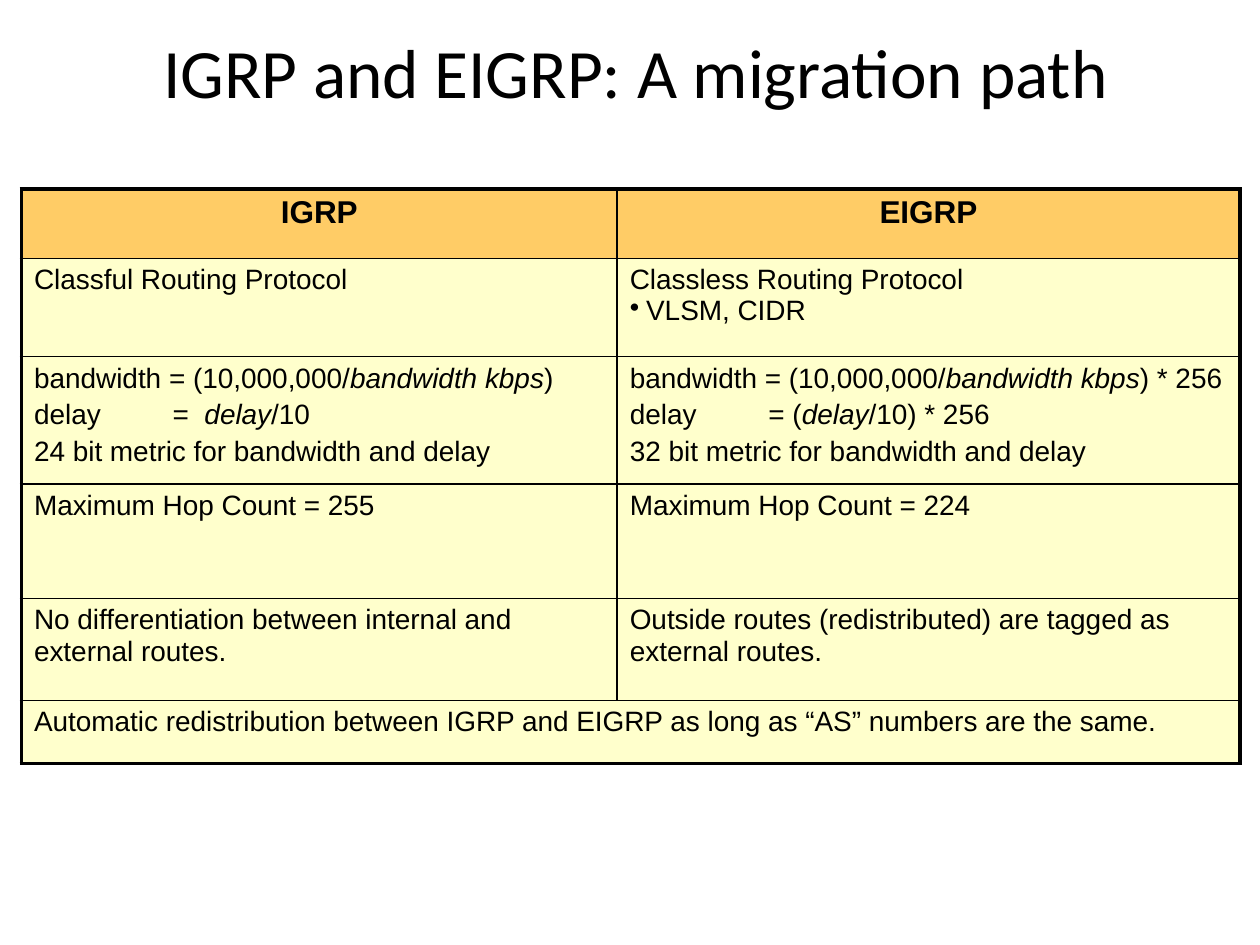
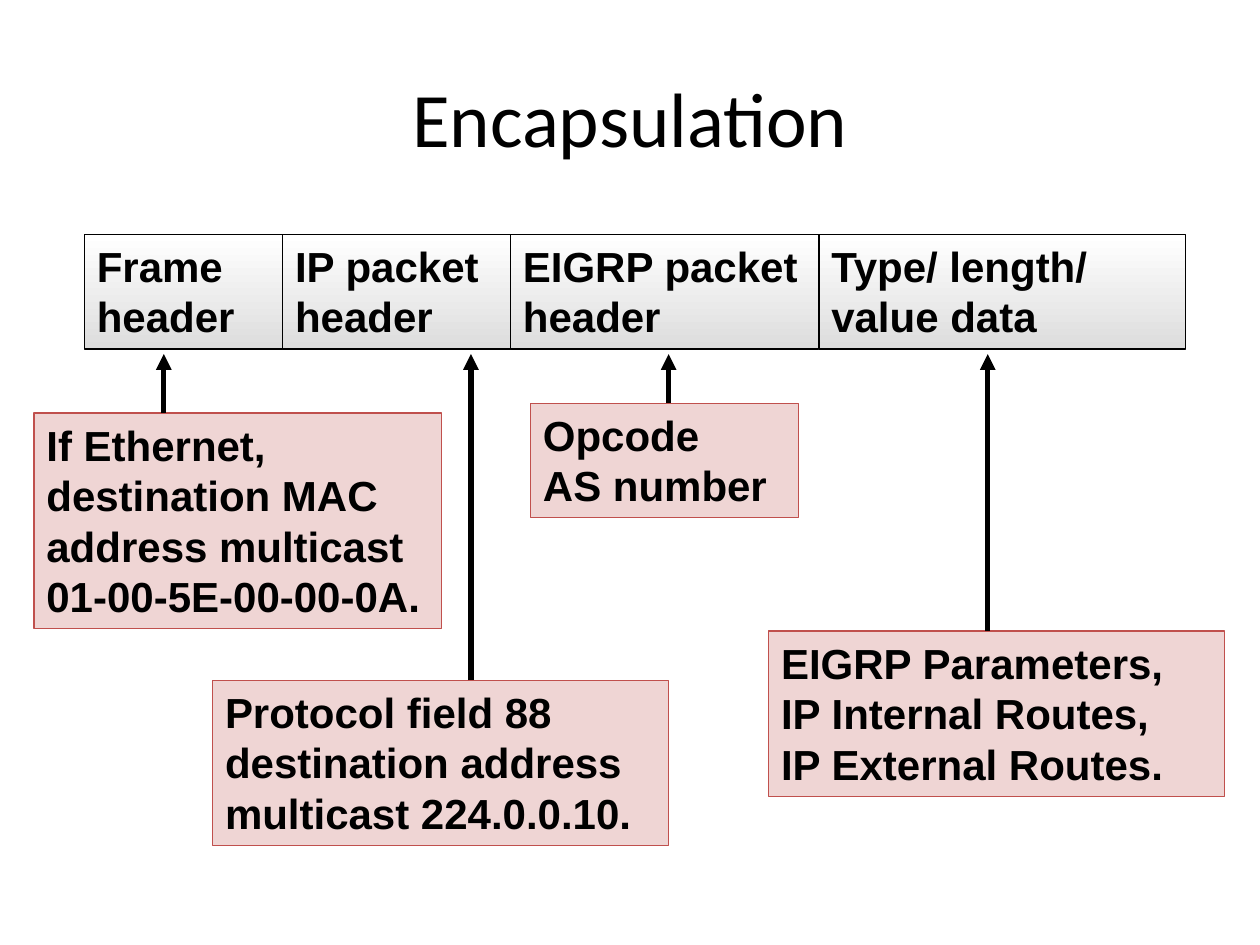
from itertools import accumulate

from lxml.etree import SubElement
from pptx import Presentation
from pptx.dml.color import RGBColor
from pptx.enum.shapes import MSO_CONNECTOR, MSO_SHAPE
from pptx.enum.text import MSO_ANCHOR, MSO_AUTO_SIZE, PP_ALIGN
from pptx.oxml.ns import qn
from pptx.util import Inches, Pt

BLACK, WHITE, GREY = "000000", "FFFFFF", "DDDDDD"
ORANGE, CREAM, RED = "FFCC66", "FFFFCC", "C0504D"
WIDE, HIGH = 10, 7.5
TAB = 1.1
BULLET = "• "

# "_" switches italics, "\v" breaks a line, "\n" starts a paragraph
ROWS = [
    (0.55, "IGRP", "EIGRP"),
    (0.78, "Classful Routing Protocol",
     "Classless Routing Protocol\n• VLSM, CIDR"),
    (1.01, "bandwidth = (10,000,000/_bandwidth kbps_)\n"
     "delay\t=  _delay_/10\n"
     "24 bit metric for bandwidth and delay",
     "bandwidth = (10,000,000/_bandwidth kbps_) * 256\n"
     "delay\t= (_delay_/10) * 256\n"
     "32 bit metric for bandwidth and delay"),
    (0.91, "Maximum Hop Count = 255", "Maximum Hop Count = 224"),
    (0.81, "No differentiation between internal and external routes.",
     "Outside routes (redistributed) are tagged as external routes."),
    (0.5, "Automatic redistribution between IGRP and EIGRP as long as "
     "“AS” numbers are the same.", ""),
]

# Share of the bar's width in percent, label
FIELDS = [
    (18, "Frame header"),
    (20.7, "IP packet header"),
    (28, "EIGRP packet header"),
    (33.3, "Type/ length/ value data"),
]

# Left, top, width, height and arrow place in percent of the region, text
NOTES = [
    (61.7, 56.4, 38.3, 33.6, 80.1,
     "EIGRP Parameters,\vIP Internal Routes,\vIP External Routes."),
    (41.7, 10, 22.5, 23.3, 53.3, "Opcode\vAS number"),
    (15, 66.4, 38.3, 33.6, 36.7,
     "Protocol field 88\vdestination address multicast 224.0.0.10."),
    (0, 12, 34.2, 43.8, 10.9,
     "If Ethernet, destination MAC address multicast\v01-00-5E-00-00-0A."),
]


def color(code):
    return RGBColor.from_string(code)


def inches(*sizes):
    return [Inches(size) for size in sizes]


def within(area, left, top, width=0, height=0):
    """Turn percentages of an area into a box in inches."""
    x, y, w, h = area
    return (x + w * left / 100, y + h * top / 100,
            w * width / 100, h * height / 100)


def indent(para, line):
    """Add the bullet or the tab stop that a line asks for."""
    props = para._p.get_or_add_pPr()
    if line.startswith(BULLET):
        hang = Inches(0.13)
        props.set("marL", str(hang))
        props.set("indent", str(-hang))
        SubElement(props, qn("a:buChar"), char=BULLET.strip())
    if "\t" in line:
        tabs = SubElement(props, qn("a:tabLst"))
        SubElement(tabs, qn("a:tab"), pos=str(Inches(TAB)), algn="l")


def write(frame, text, size=16, font="Arial", bold=False,
          align=PP_ALIGN.LEFT, gap=0):
    frame.word_wrap = True
    for i, line in enumerate(text.split("\n")):
        para = frame.add_paragraph() if i else frame.paragraphs[0]
        para.alignment = align
        if i and gap:
            para.space_before = Pt(gap)
        indent(para, line)
        for j, row in enumerate(line.removeprefix(BULLET).split("\v")):
            if j:
                para.add_line_break()
            for k, part in enumerate(row.split("_")):
                run = para.add_run()
                run.text = part
                run.font.size = Pt(size)
                run.font.name = font
                run.font.bold = bold
                run.font.italic = k % 2 == 1
                run.font.color.rgb = color(BLACK)


def add_page(deck, title, area, size):
    page = deck.slides.add_slide(deck.slide_layouts[5])
    head = page.shapes.title
    head.left, head.top, head.width, head.height = inches(*area)
    frame = head.text_frame
    frame.auto_size = MSO_AUTO_SIZE.NONE
    frame.vertical_anchor = MSO_ANCHOR.MIDDLE
    write(frame, title, size=size, font="Calibri", align=PP_ALIGN.CENTER)
    return page


def edge(cell, side, width):
    line = SubElement(cell._tc.get_or_add_tcPr(), qn("a:ln" + side),
                      w=str(Pt(width)))
    fill = SubElement(line, qn("a:solidFill"))
    SubElement(fill, qn("a:srgbClr"), val=BLACK)


def add_grid(page, area):
    """Compare both protocols, with a thick frame around thin rules."""
    shape = page.shapes.add_table(len(ROWS), 2, *inches(*area))
    table = shape.table
    table.first_row = table.horz_banding = False
    for col, share in zip(table.columns, (48.9, 51.1)):
        col.width = Inches(area[2] * share / 100)
    last = len(ROWS) - 1
    table.cell(last, 0).merge(table.cell(last, 1))
    for r, (height, *texts) in enumerate(ROWS):
        table.rows[r].height = Inches(height)
        for c, text in enumerate(texts):
            cell = table.cell(r, c)
            outer = {"L": c == 0, "R": c == 1 or r == last,
                     "T": r == 0, "B": r == last}
            for side, thick in outer.items():
                edge(cell, side, 2.25 if thick else 1)
            cell.fill.solid()
            cell.fill.fore_color.rgb = color(CREAM if r else ORANGE)
            if not text:
                continue
            if r == 0:
                write(cell.text_frame, text, size=18, bold=True,
                      align=PP_ALIGN.CENTER)
            else:
                write(cell.text_frame, text, gap=3.2 if r == 2 else 0)


def add_box(page, area, text, line):
    box = page.shapes.add_shape(MSO_SHAPE.RECTANGLE, *inches(*area))
    box.shadow.inherit = False
    box.line.color.rgb = color(line)
    box.line.width = Pt(0.75)
    frame = box.text_frame
    frame.vertical_anchor = MSO_ANCHOR.TOP
    frame.auto_size = MSO_AUTO_SIZE.SHAPE_TO_FIT_TEXT
    write(frame, text, size=24, bold=True)
    return box


def add_arrow(page, x, start, end):
    arrow = page.shapes.add_connector(MSO_CONNECTOR.STRAIGHT,
                                      *inches(x, start, x, end))
    arrow.line.color.rgb = color(BLACK)
    arrow.line.width = Pt(3)
    SubElement(arrow.line._get_or_add_ln(), qn("a:tailEnd"), type="triangle")
    SubElement(arrow._element.spPr, qn("a:effectLst"))


def add_packet(page, area):
    """Lay the packet's fields side by side."""
    ends = accumulate(share for share, _ in FIELDS)
    for (share, label), end in zip(FIELDS, ends):
        box = add_box(page, within(area, end - share, 0, share, 100),
                      label, BLACK)
        box.fill.gradient()
        box.fill.gradient_angle = 270
        for stop, code in zip(box.fill.gradient_stops, (WHITE, GREY)):
            stop.color.rgb = color(code)


def add_notes(page, area):
    """Place the notes, each with an arrow up to the region's top."""
    for *place, _, text in NOTES:
        box = add_box(page, within(area, *place), text, RED)
        box.fill.solid()
        box.fill.fore_color.rgb = color(RED)
        tint = box._element.spPr.find(qn("a:solidFill")).find(qn("a:srgbClr"))
        SubElement(tint, qn("a:alpha"), val="24000")
    for _, top, _, _, spot, _ in NOTES:
        x, start, _, _ = within(area, spot, top)
        add_arrow(page, x, start, area[1])


def main():
    deck = Presentation()
    deck.slide_width, deck.slide_height = inches(WIDE, HIGH)

    page = add_page(deck, "IGRP and EIGRP: A migration path",
                    (0.42, 0.39, 9.25, 0.34), 39.6)
    add_grid(page, (0.17, 1.5, 9.67, 4.56))

    page = add_page(deck, "Encapsulation", (0.5, 0.3, 9, 1.25), 44)
    add_packet(page, (0.67, 1.86, 8.74, 0.91))
    add_notes(page, (0.27, 2.81, 9.45, 3.9))

    deck.save("out.pptx")


if __name__ == "__main__":
    main()
